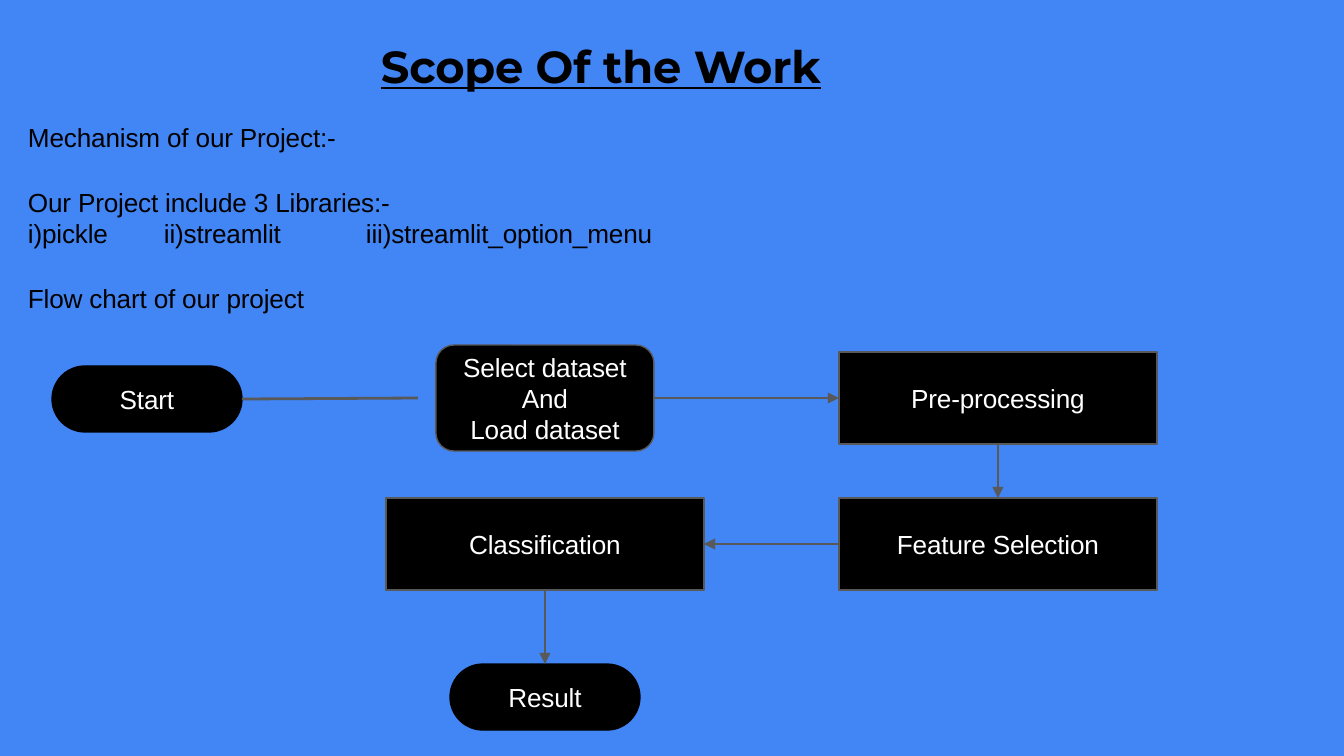
import collections
import dataclasses

import lxml.etree
import pptx
import pptx.dml.color
import pptx.enum.shapes
import pptx.enum.text
import pptx.oxml.ns
import pptx.util

EMU_PER_PX = 6804
Box = collections.namedtuple("Box", "left top width height")
Shape = pptx.enum.shapes.MSO_SHAPE
Align = pptx.enum.text.PP_ALIGN
Anchor = pptx.enum.text.MSO_ANCHOR
TOP, LEFT, BOTTOM, RIGHT = range(4)


@dataclasses.dataclass(frozen=True)
class Theme:
    background: str = "4285F4"
    ink: str = "000000"
    node_text: str = "FFFFFF"
    line: str = "595959"
    title_font: str = "Montserrat"
    body_font: str = "Arial"
    title_size: int = 24
    body_size: int = 14
    section_gap: int = 18
    thin: float = 0.75
    thick: float = 1.5
    tracking: str = "-10"


THEME = Theme()


def px(length):
    return pptx.util.Emu(length * EMU_PER_PX)


def rgb(value):
    return pptx.dml.color.RGBColor.from_string(value)


def inside(area, left, top, width, height):
    return Box(area.left + left, area.top + top, width, height)


def emu(box):
    return [px(length) for length in box]


def set_frame(frame, anchor):
    frame.word_wrap = True
    frame.auto_size = pptx.enum.text.MSO_AUTO_SIZE.NONE
    frame.vertical_anchor = anchor
    frame.margin_left = frame.margin_right = 0
    frame.margin_top = frame.margin_bottom = 0


def style(para, font, size, color, bold=False, underline=False, align=Align.LEFT):
    para.alignment = align
    for span in para.runs:
        span.font.name = font
        span.font.size = pptx.util.Pt(size)
        span.font.color.rgb = rgb(color)
        span.font.bold = bold
        span.font.underline = underline
        span.font._element.set("spc", THEME.tracking)


def add_tabs(para, stops):
    properties = para._p.get_or_add_pPr()
    tabs = lxml.etree.SubElement(properties, pptx.oxml.ns.qn("a:tabLst"))
    for stop in stops:
        lxml.etree.SubElement(tabs, pptx.oxml.ns.qn("a:tab"), pos=str(px(stop)), algn="l")


def place_title(page, box):
    title = page.shapes.title
    title.left, title.top, title.width, title.height = emu(box)
    set_frame(title.text_frame, Anchor.TOP)
    title.text_frame.text = "Scope Of the Work"
    style(title.text_frame.paragraphs[0], THEME.title_font, THEME.title_size,
          THEME.ink, bold=True, underline=True)


def add_mechanism(page, box):
    frame = page.shapes.add_textbox(*emu(box)).text_frame
    set_frame(frame, Anchor.TOP)
    frame.text = "\n".join([
        "Mechanism of our Project:-",
        "Our Project include 3 Libraries:-",
        "i)pickle\tii)streamlit\tiii)streamlit_option_menu",
        "Flow chart of our project",
    ])
    heading, intro, libraries, flow = frame.paragraphs
    for para in frame.paragraphs:
        style(para, THEME.body_font, THEME.body_size, THEME.ink, bold=para is heading)
    for para in (intro, flow):
        para.space_before = pptx.util.Pt(THEME.section_gap)
    add_tabs(libraries, [136, 338])


def add_node(page, box, text, kind, outline, radius=None):
    node = page.shapes.add_shape(kind, *emu(box))
    if radius is not None:
        node.adjustments[0] = radius
    node.shadow.inherit = False
    node.fill.solid()
    node.fill.fore_color.rgb = rgb(THEME.ink)
    node.line.color.rgb = rgb(outline)
    node.line.width = pptx.util.Pt(THEME.thin)
    set_frame(node.text_frame, Anchor.MIDDLE)
    node.text_frame.text = text
    for para in node.text_frame.paragraphs:
        style(para, THEME.body_font, THEME.body_size, THEME.node_text, align=Align.CENTER)
    return node


def add_terminal(page, box, text):
    return add_node(page, box, text, Shape.ROUNDED_RECTANGLE, THEME.ink, 0.5)


def add_step(page, box, text):
    return add_node(page, box, text, Shape.RECTANGLE, THEME.line)


def add_line(page, start, end, width):
    line = page.shapes.add_connector(
        pptx.enum.shapes.MSO_CONNECTOR.STRAIGHT, *emu(start + end))
    line.line.color.rgb = rgb(THEME.line)
    line.line.width = pptx.util.Pt(width)
    lxml.etree.SubElement(line._element.spPr, pptx.oxml.ns.qn("a:effectLst"))
    return line


def add_arrow(page, source, source_side, target, target_side):
    arrow = add_line(page, (0, 0), (0, 0), THEME.thin)
    arrow.begin_connect(source, source_side)
    arrow.end_connect(target, target_side)
    lxml.etree.SubElement(arrow.line._get_or_add_ln(), pptx.oxml.ns.qn("a:tailEnd"),
                          type="triangle", w="med", len="med")


def add_flow_chart(page, area):
    step_width, step_height = 318, 92
    middle, right = 493, 946
    upper, lower = 53, 199

    def centred(center_x, center_y, width, height):
        return inside(area, center_x - width // 2, center_y - height // 2, width, height)

    start = centred(95, upper + 1, 190, 66)
    add_terminal(page, start, "Start")
    dataset = add_node(page, centred(middle, upper, 218, 106),
                       "Select dataset\vAnd\nLoad dataset",
                       Shape.ROUNDED_RECTANGLE, THEME.line, 0.17)
    preparation, selection, classification = [
        add_step(page, centred(x, y, step_width, step_height), text)
        for x, y, text in [
            (right, upper, "Pre-processing"),
            (right, lower, "Feature Selection"),
            (middle, lower, "Classification"),
        ]
    ]
    result = add_terminal(page, centred(middle, 352, 190, 66), "Result")

    add_line(page, (start.left + start.width, area.top + upper + 1),
             (area.left + 366, area.top + upper), THEME.thick)
    add_arrow(page, dataset, RIGHT, preparation, LEFT)
    add_arrow(page, preparation, BOTTOM, selection, TOP)
    add_arrow(page, selection, LEFT, classification, RIGHT)
    add_arrow(page, classification, BOTTOM, result, TOP)


def main():
    deck = pptx.Presentation()
    deck.slide_width, deck.slide_height = px(1344), px(756)
    page = deck.slides.add_slide(deck.slide_layouts.get_by_name("Title Only"))
    page.background.fill.solid()
    page.background.fill.fore_color.rgb = rgb(THEME.background)
    place_title(page, Box(381, 39, 478, 56))
    add_mechanism(page, Box(28, 121, 640, 192))
    add_flow_chart(page, Box(52, 345, 1106, 385))
    deck.save("out.pptx")


if __name__ == "__main__":
    main()
